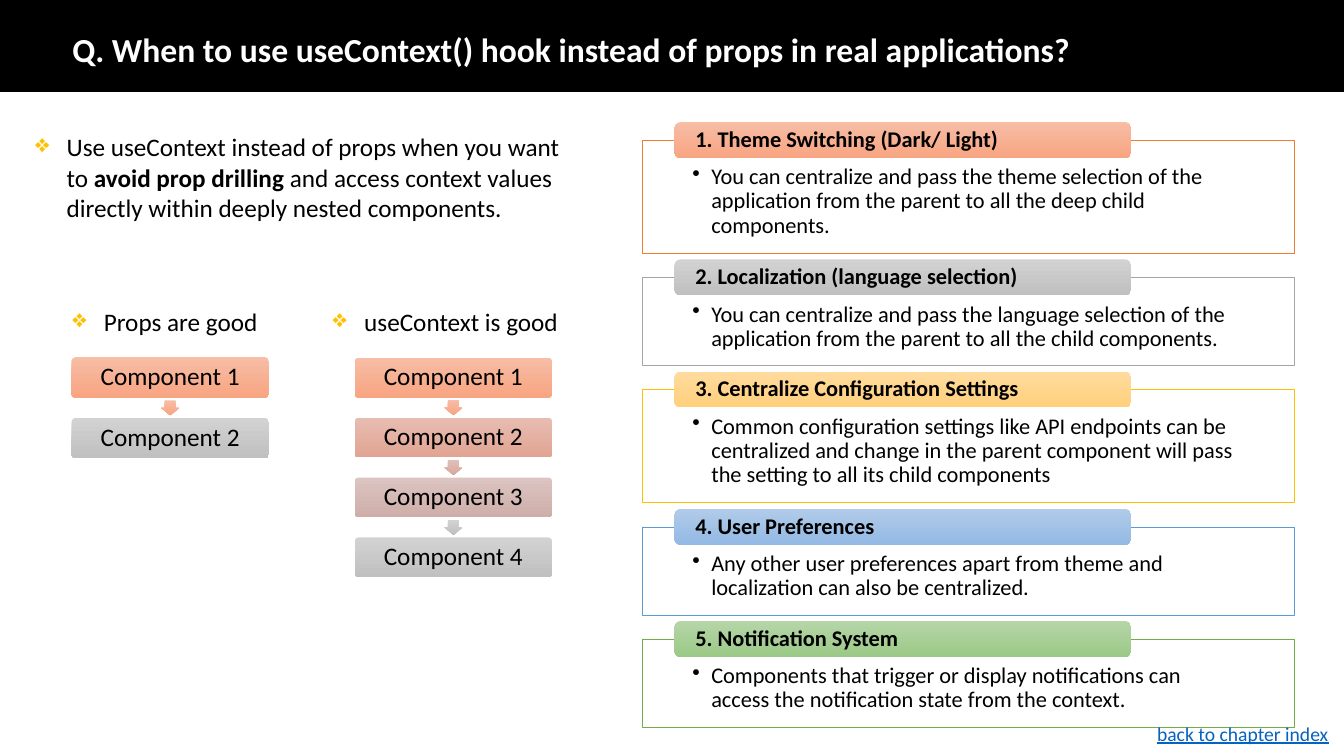
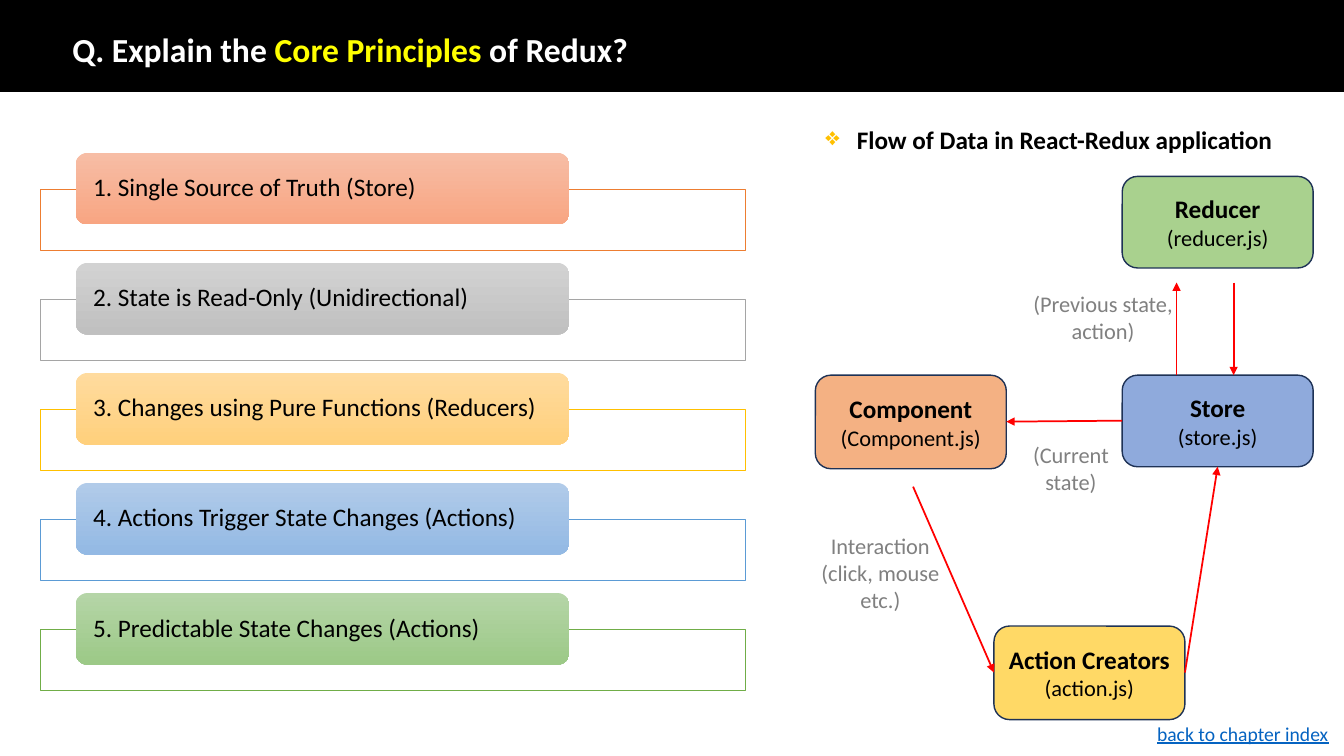
"""Build two slides on useContext and the principles of Redux."""
from dataclasses import dataclass
from typing import Optional, Sequence

import pptx
import pptx.dml.color
import pptx.enum.shapes
import pptx.enum.text
import pptx.oxml
import pptx.oxml.ns
import pptx.shapes.autoshape
import pptx.slide
import pptx.util

Pt = pptx.util.Pt
Shapes = pptx.enum.shapes.MSO_SHAPE
Align = pptx.enum.text.PP_ALIGN
Anchor = pptx.enum.text.MSO_ANCHOR

FONT = "Calibri"
BLACK, WHITE, GOLD, YELLOW = "000000", "FFFFFF", "FFC000", "FFFF00"
RED, GREY, NAVY, LINK_BLUE = "FF0000", "808080", "1E3256", "0563C1"
DEFAULT_INSETS = (7.2, 3.6, 7.2, 3.6)


@dataclass(frozen=True)
class Box:
    left: float
    top: float
    width: float
    height: float


@dataclass(frozen=True)
class Run:
    text: str
    size: float = 18
    color: str = BLACK
    bold: bool = False
    underline: bool = False


@dataclass(frozen=True)
class Bullet:
    character: str
    indent: float
    color: Optional[str] = None


@dataclass(frozen=True)
class Shade:
    top: str
    bottom: str


@dataclass(frozen=True)
class Accent:
    line: str
    shade: Shade


@dataclass(frozen=True)
class CardStyle:
    left: float
    width: float
    header: Box
    header_inset: float
    header_size: float
    header_bold: bool


@dataclass(frozen=True)
class Card:
    heading: str
    body: str
    height: float


@dataclass(frozen=True)
class Node:
    box: Box
    fill: str
    name: str
    file: str


@dataclass(frozen=True)
class Arrow:
    start: tuple[float, float]
    end: tuple[float, float]


@dataclass(frozen=True)
class Label:
    box: Box
    text: str


ORANGE = Shade("F7BDA5", "F8A582")
SILVER = Shade("D2D2D2", "C0C0C0")
ACCENTS = (
    Accent("ED7D31", ORANGE),
    Accent("A5A5A5", SILVER),
    Accent("FFC000", Shade("FFDB9E", "FFD07C")),
    Accent("5B9BD5", Shade("B1CBE9", "93B9E4")),
    Accent("70AD47", Shade("B5D5A7", "9CC987")),
)
DIAMOND = Bullet("❖", 22.5, GOLD)
DOT = Bullet("•", 13.5)

USE_CASE_STYLE = CardStyle(458.6, 466, Box(481.8, -13, 326.2, 25.6), 13.6, 16, True)
USE_CASES = (
    Card("1. Theme Switching (Dark/ Light)",
         "You can centralize and pass the theme selection of the application "
         "from the parent to all the deep child components.", 80.8),
    Card("2. Localization (language selection)",
         "You can centralize and pass the language selection of the application "
         "from the parent to all the child components.", 62.8),
    Card("3. Centralize Configuration Settings",
         "Common configuration settings like API endpoints can be centralized and "
         "change in the parent component will pass the setting to all its child "
         "components", 80.8),
    Card("4. User Preferences",
         "Any other user preferences apart from theme and localization can also "
         "be centralized.", 62.8),
    Card("5. Notification System",
         "Components that trigger or display notifications can access the "
         "notification state from the context.", 62.8),
)
PRINCIPLE_STYLE = CardStyle(28.8, 503.4, Box(54, -26, 352.8, 51.2), 10, 18, False)
PRINCIPLES = tuple(Card(heading, "", 43.8) for heading in (
    "1. Single Source of Truth (Store)",
    "2. State is Read-Only (Unidirectional)",
    "3. Changes using Pure Functions (Reducers)",
    "4. Actions Trigger State Changes (Actions)",
    "5. Predictable State Changes (Actions)",
))
NODES = (
    Node(Box(582.4, 268, 136.4, 66.8), "F4B183", "Component", "(Component.js)"),
    Node(Box(710, 447.2, 136.4, 66.8), "FFD966", "Action Creators", "(action.js)"),
    Node(Box(801.6, 268, 136.4, 65.4), "8FAADC", "Store", "(store.js)"),
    Node(Box(801.6, 126, 136.4, 65.4), "A9D18E", "Reducer", "(reducer.js)"),
)
ARROWS = (
    Arrow((652.2, 347.6), (710, 480.4)),
    Arrow((846.4, 480.4), (869.8, 333.4)),
    Arrow((840.4, 268), (840.4, 201.8)),
    Arrow((801.6, 300.5), (718.8, 301.2)),
    Arrow((881.2, 201.8), (881.2, 268)),
)
LABELS = (
    Label(Box(576.6, 376.4, 104.4, 65.4), "Interaction (click, mouse etc.)"),
    Label(Box(725.6, 204, 124.6, 46), "(Previous state, action)"),
    Label(Box(725, 311.4, 80, 46), "(Current state)"),
)


def rgb(value: str) -> pptx.dml.color.RGBColor:
    return pptx.dml.color.RGBColor.from_string(value)


def points(box: Box) -> tuple[int, int, int, int]:
    return Pt(box.left), Pt(box.top), Pt(box.width), Pt(box.height)


def add_bullet(paragraph, bullet: Bullet) -> None:
    properties = paragraph._p.get_or_add_pPr()
    properties.set("marL", str(Pt(bullet.indent)))
    properties.set("indent", str(-Pt(bullet.indent)))
    namespace = pptx.oxml.ns.nsdecls("a")
    if bullet.color:
        properties.append(pptx.oxml.parse_xml(
            f'<a:buClr {namespace}><a:srgbClr val="{bullet.color}"/></a:buClr>'))
    properties.append(pptx.oxml.parse_xml(
        f'<a:buChar {namespace} char="{bullet.character}"/>'))


def write(shape, paragraphs: Sequence[Sequence[Run]], align=Align.LEFT,
          anchor=Anchor.TOP, insets=DEFAULT_INSETS, line_spacing: float = 1.0,
          bullet: Optional[Bullet] = None) -> None:
    frame = shape.text_frame
    frame.word_wrap = True
    frame.vertical_anchor = anchor
    (frame.margin_left, frame.margin_top,
     frame.margin_right, frame.margin_bottom) = map(Pt, insets)
    for index, runs in enumerate(paragraphs):
        paragraph = frame.add_paragraph() if index else frame.paragraphs[0]
        if bullet:
            add_bullet(paragraph, bullet)
        paragraph.alignment = align
        paragraph.line_spacing = line_spacing
        for item in runs:
            run = paragraph.add_run()
            run.text = item.text
            run.font.name = FONT
            run.font.size = Pt(item.size)
            run.font.bold = item.bold
            run.font.underline = item.underline
            run.font.color.rgb = rgb(item.color)


def add_text(slide: pptx.slide.Slide, box: Box, *runs: Run, **options) -> None:
    write(slide.shapes.add_textbox(*points(box)), [runs], **options)


def add_shape(slide: pptx.slide.Slide, kind, box: Box, fill: str | Shade,
              line: Optional[str] = None,
              line_width: float = 1) -> pptx.shapes.autoshape.Shape:
    shape = slide.shapes.add_shape(kind, *points(box))
    shape.shadow.inherit = False
    if isinstance(fill, Shade):
        shape.fill.gradient()
        shape.fill.gradient_angle = 270
        for stop, color in zip(shape.fill.gradient_stops, (fill.top, fill.bottom)):
            stop.color.rgb = rgb(color)
    else:
        shape.fill.solid()
        shape.fill.fore_color.rgb = rgb(fill)
    if line:
        shape.line.color.rgb = rgb(line)
        shape.line.width = Pt(line_width)
    else:
        shape.line.fill.background()
    return shape


def add_cards(slide: pptx.slide.Slide, style: CardStyle, cards: Sequence[Card],
              top: float, gap: float) -> None:
    for card, accent in zip(cards, ACCENTS):
        body = add_shape(slide, Shapes.RECTANGLE,
                         Box(style.left, top, style.width, card.height),
                         WHITE, accent.line, 0.5)
        if card.body:
            write(body, [[Run(card.body, 16)]], insets=(36, 18, 36, 9),
                  line_spacing=0.9, bullet=DOT)
        offset = style.header
        header = add_shape(slide, Shapes.ROUNDED_RECTANGLE,
                           Box(offset.left, top + offset.top, offset.width, offset.height),
                           accent.shade)
        write(header, [[Run(card.heading, style.header_size, bold=style.header_bold)]],
              anchor=Anchor.MIDDLE, line_spacing=0.9,
              insets=(style.header_inset, 0, style.header_inset, 0))
        top += card.height + gap


def add_stack(slide: pptx.slide.Slide, first: Box, pitch: float,
              boxes: Sequence[Shade], arrows: Sequence[Shade]) -> None:
    for index, shade in enumerate(boxes):
        box = Box(first.left, first.top + index * pitch, first.width, first.height)
        component = add_shape(slide, Shapes.ROUNDED_RECTANGLE, box, shade)
        component.adjustments[0] = 0.1
        write(component, [[Run(f"Component {index + 1}")]], Align.CENTER,
              Anchor.MIDDLE, (5, 5, 5, 5), 0.9)
    width, height = 13, 10.8
    for index, shade in enumerate(arrows):
        middle = first.top + index * pitch + (first.height + pitch) / 2
        arrow = add_shape(slide, Shapes.DOWN_ARROW,
                          Box(first.left + (first.width - width) / 2,
                              middle - height / 2, width, height), shade)
        arrow.adjustments[0], arrow.adjustments[1] = 0.6, 0.5


def add_arrow(slide: pptx.slide.Slide, arrow: Arrow) -> None:
    connector = slide.shapes.add_connector(
        pptx.enum.shapes.MSO_CONNECTOR.STRAIGHT, *map(Pt, arrow.start + arrow.end))
    connector.line.color.rgb = rgb(RED)
    connector.line.width = Pt(1.25)
    namespace = pptx.oxml.ns.nsdecls("a")
    connector.line._get_or_add_ln().append(
        pptx.oxml.parse_xml(f'<a:tailEnd {namespace} type="triangle"/>'))
    connector._element.spPr.append(pptx.oxml.parse_xml(f"<a:effectLst {namespace}/>"))


def add_page(presentation, *title: tuple[str, str]) -> pptx.slide.Slide:
    slide = presentation.slides.add_slide(presentation.slide_layouts[6])
    add_shape(slide, Shapes.RECTANGLE, Box(0, 0, 960, 65.5), BLACK, BLACK)
    add_text(slide, Box(44.6, 24.4, 828, 25.2),
             *(Run(text, 24, color, bold=True) for text, color in title),
             anchor=Anchor.MIDDLE, line_spacing=0.9)
    return slide


def add_footer(slide: pptx.slide.Slide) -> None:
    add_text(slide, Box(819.4, 512, 140.6, 24.4),
             Run("back to chapter index", 14, LINK_BLUE, underline=True))


def build_context_slide(presentation) -> None:
    slide = add_page(presentation, (
        "Q. When to use useContext() hook instead of props in real applications?", WHITE))
    add_cards(slide, USE_CASE_STYLE, USE_CASES, 100.2, 17.3)
    add_text(slide, Box(18, 90.6, 399.6, 72.8),
             Run("Use useContext instead of props when you want to "),
             Run("avoid prop drilling", bold=True),
             Run(" and access context values directly within deeply nested components."),
             bullet=DIAMOND)
    add_stack(slide, Box(253.4, 255.5, 141, 28.5), 42.8,
              (ORANGE, Shade("E7BDB1", "E1A493"), Shade("DBC4C1", "CFAEA9"), SILVER),
              (ORANGE, Shade("E0C0B9", "D7A89E"), SILVER))
    add_stack(slide, Box(51.1, 255.2, 141, 28.8), 43.4, (ORANGE, SILVER), (ORANGE,))
    add_text(slide, Box(44.6, 215.4, 147.6, 29), Run("Props are good"), bullet=DIAMOND)
    add_text(slide, Box(230.6, 215.4, 177, 29), Run("useContext is good"), bullet=DIAMOND)
    add_footer(slide)


def build_redux_slide(presentation) -> None:
    slide = add_page(presentation, ("Q. Explain the ", WHITE),
                     ("Core Principles", YELLOW), (" of Redux?", WHITE))
    add_cards(slide, PRINCIPLE_STYLE, PRINCIPLES, 135.2, 34.8)
    for node in NODES:
        shape = add_shape(slide, Shapes.ROUNDED_RECTANGLE, node.box, node.fill, NAVY)
        write(shape, [[Run(node.name, bold=True)], [Run(node.file, 16)]],
              Align.CENTER, Anchor.MIDDLE)
    for arrow in ARROWS:
        add_arrow(slide, arrow)
    for label in LABELS:
        add_text(slide, label.box, Run(label.text, 16, GREY), align=Align.CENTER)
    add_text(slide, Box(582.4, 85, 370, 29),
             Run("Flow of Data in React-Redux application", bold=True), bullet=DIAMOND)
    add_footer(slide)


def main() -> None:
    presentation = pptx.Presentation()
    presentation.slide_width, presentation.slide_height = Pt(960), Pt(540)
    build_context_slide(presentation)
    build_redux_slide(presentation)
    presentation.save("out.pptx")


if __name__ == "__main__":
    main()
